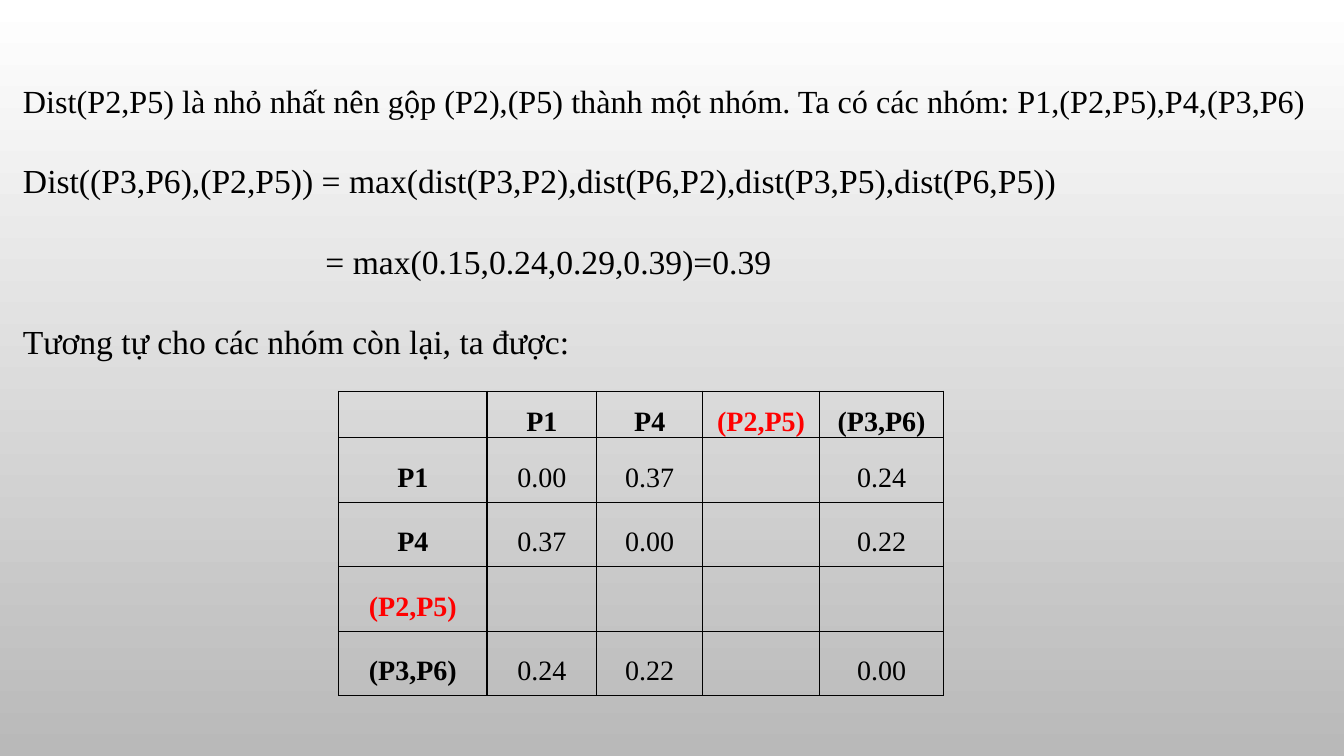
from lxml import etree
from pptx import Presentation
from pptx.dml.color import RGBColor
from pptx.enum import text as tx
from pptx.oxml.ns import qn
from pptx.util import Inches, Pt


def color(hex_value):
    return RGBColor.from_string(hex_value)


def write(paragraph, text, size=24, bold=False, ink="000000", spacing=2.0,
          before=0, align=tx.PP_ALIGN.LEFT, indent=0):
    paragraph.alignment = align
    paragraph.line_spacing = spacing
    paragraph.space_before = Pt(before)
    if indent:
        paragraph._p.get_or_add_pPr().set("marL", str(Inches(indent)))
    run = paragraph.add_run()
    run.text = text
    run.font.name = "Times New Roman"
    run.font.size = Pt(size)
    run.font.bold = bold
    run.font.color.rgb = color(ink)


prs = Presentation()
prs.slide_width, prs.slide_height = Inches(13.33), Inches(7.5)
slide = prs.slides.add_slide(prs.slide_layouts[6])

backdrop = slide.background.fill
backdrop.gradient()
backdrop.gradient_angle = 270
for stop, shade in zip(backdrop.gradient_stops, ["FFFFFF", "B9B9B9"]):
    stop.color.rgb = color(shade)

groups = ["P1", "P4", "(P2,P5)", "(P3,P6)"]
merged = "(P2,P5)"
distances = [
    ["0.00", "0.37", "", "0.24"],
    ["0.37", "0.00", "", "0.22"],
    ["", "", "", ""],
    ["0.24", "0.22", "", "0.00"],
]
rows = [[""] + groups] + [[group] + row for group, row in zip(groups, distances)]

matrix = slide.shapes.add_table(
    5, 5, Inches(3.36), Inches(3.88), Inches(6), Inches(2.86)).table
matrix.first_row = matrix.horz_banding = False
for column, width in zip(matrix.columns, [1.47, 1.09, 1.05, 1.16, 1.23]):
    column.width = Inches(width)
for row, height in zip(matrix.rows, [0.3] + [0.64] * 4):
    row.height = Inches(height)

for r, row in enumerate(rows):
    for c, value in enumerate(row):
        cell = matrix.cell(r, c)
        cell.vertical_anchor = tx.MSO_ANCHOR.MIDDLE
        cell.margin_left = cell.margin_right = Inches(0.07)
        cell.margin_top = cell.margin_bottom = 0
        properties = cell._tc.get_or_add_tcPr()
        for side in ["a:lnL", "a:lnR", "a:lnT", "a:lnB"]:
            border = etree.SubElement(properties, qn(side), w=str(Pt(1)))
            solid = etree.SubElement(border, qn("a:solidFill"))
            etree.SubElement(solid, qn("a:srgbClr"), val="000000")
        cell.fill.background()
        if value:
            write(cell.text_frame.paragraphs[0], value, size=20,
                  bold=r == 0 or c == 0,
                  ink="FF0000" if value == merged else "000000",
                  spacing=1.5, before=6, align=tx.PP_ALIGN.CENTER)

explanation = slide.shapes.add_textbox(
    Inches(0.13), Inches(0.37), Inches(13.2), Inches(3.3)).text_frame
explanation.word_wrap = True
explanation.auto_size = tx.MSO_AUTO_SIZE.SHAPE_TO_FIT_TEXT
steps = [
    ("Dist(P2,P5) là nhỏ nhất nên gộp (P2),(P5) thành một nhóm. "
     "Ta có các nhóm: P1,(P2,P5),P4,(P3,P6)", 23, 0),
    ("Dist((P3,P6),(P2,P5)) = max(dist(P3,P2),dist(P6,P2),dist(P3,P5),dist(P6,P5))", 24, 0),
    ("= max(0.15,0.24,0.29,0.39)=0.39", 24, 3),
    ("Tương tự cho các nhóm còn lại, ta được:", 24, 0),
]
for i, (step, size, indent) in enumerate(steps):
    line = explanation.add_paragraph() if i else explanation.paragraphs[0]
    write(line, step, size=size, indent=indent)

prs.save("out.pptx")
